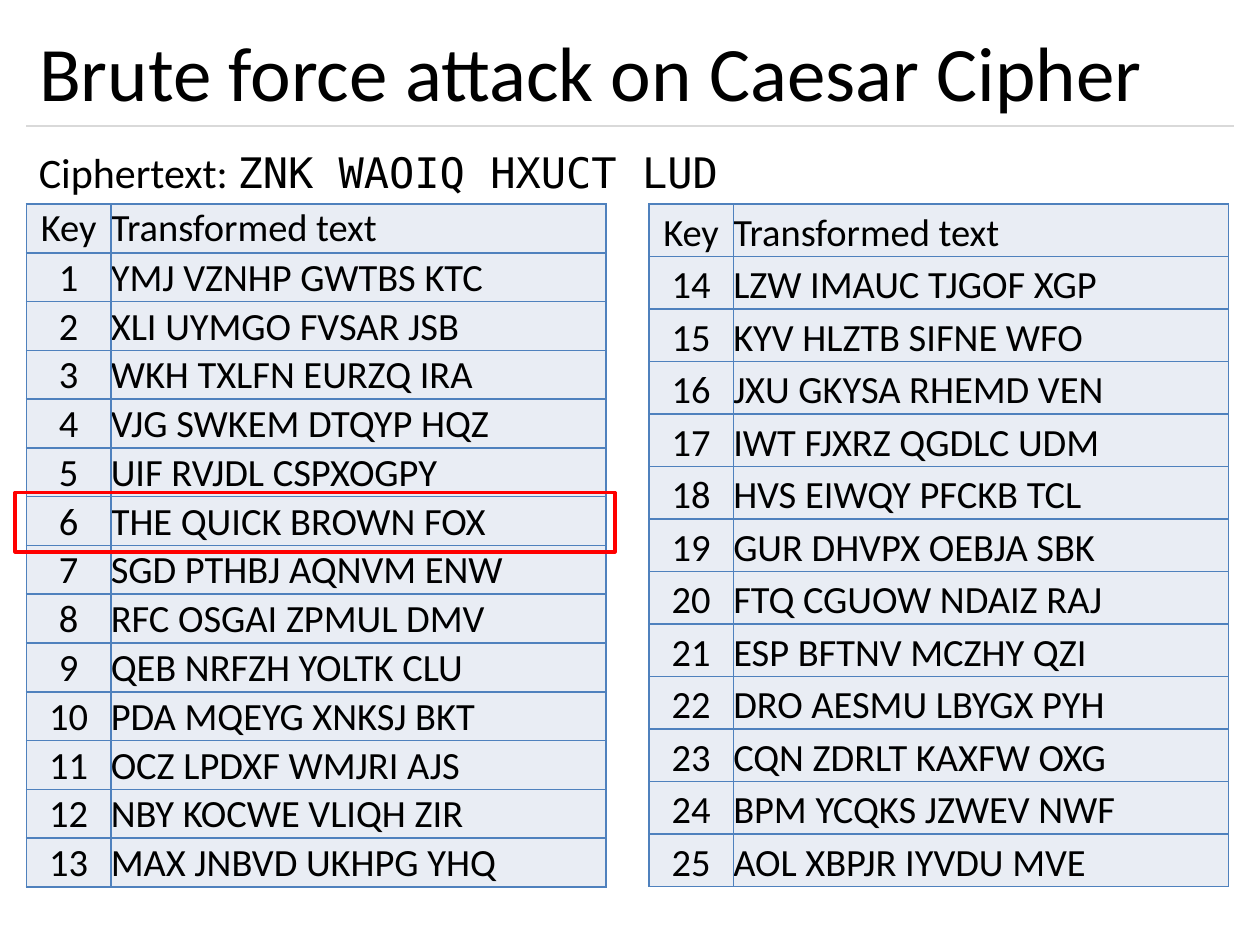
from lxml.etree import SubElement
from pptx import Presentation
from pptx.dml.color import RGBColor
from pptx.enum.shapes import MSO_CONNECTOR as Connector, MSO_SHAPE as Shape
from pptx.enum.text import MSO_ANCHOR as Anchor, PP_ALIGN as Align
from pptx.oxml.ns import qn
from pptx.util import Inches, Pt

BLACK = RGBColor(0x00, 0x00, 0x00)
RULE_GREY = RGBColor(0xD9, 0xD9, 0xD9)
CELL_FILL = RGBColor(0xE9, 0xED, 0xF4)
BORDER_BLUE = RGBColor(0x4F, 0x81, 0xBD)
HIGHLIGHT_RED = RGBColor(0xFF, 0x00, 0x00)
BODY_FONT = "Calibri"
CODE_FONT = "DejaVu Sans Mono"

MARGIN = 0.21
CONTENT_WIDTH = 10 - 2 * MARGIN
TABLE_TOP = 1.62
TABLE_HEIGHT = 5.42
COLUMN_WIDTHS = (0.67, 3.93)

# Candidate plaintexts, in key order
FIRST_KEYS = [
    "YMJ VZNHP GWTBS KTC", "XLI UYMGO FVSAR JSB", "WKH TXLFN EURZQ IRA",
    "VJG SWKEM DTQYP HQZ", "UIF RVJDL CSPXOGPY", "THE QUICK BROWN FOX",
    "SGD PTHBJ AQNVM ENW", "RFC OSGAI ZPMUL DMV", "QEB NRFZH YOLTK CLU",
    "PDA MQEYG XNKSJ BKT", "OCZ LPDXF WMJRI AJS", "NBY KOCWE VLIQH ZIR",
    "MAX JNBVD UKHPG YHQ",
]
LAST_KEYS = [
    "LZW IMAUC TJGOF XGP", "KYV HLZTB SIFNE WFO", "JXU GKYSA RHEMD VEN",
    "IWT FJXRZ QGDLC UDM", "HVS EIWQY PFCKB TCL", "GUR DHVPX OEBJA SBK",
    "FTQ CGUOW NDAIZ RAJ", "ESP BFTNV MCZHY QZI", "DRO AESMU LBYGX PYH",
    "CQN ZDRLT KAXFW OXG", "BPM YCQKS JZWEV NWF", "AOL XBPJR IYVDU MVE",
]


def format_run(run, size, font=BODY_FONT):
    run.font.size = Pt(size)
    run.font.name = font
    run.font.color.rgb = BLACK


def add_title(slide, text):
    title = slide.shapes.title
    title.left, title.top = Inches(MARGIN), Inches(0.12)
    title.width, title.height = Inches(CONTENT_WIDTH), Inches(0.88)
    title.text_frame.text = text
    title.text_frame.vertical_anchor = Anchor.MIDDLE
    paragraph = title.text_frame.paragraphs[0]
    paragraph.alignment = Align.LEFT
    format_run(paragraph.runs[0], 44)


def add_title_rule(slide):
    rule = slide.shapes.add_connector(
        Connector.STRAIGHT, Inches(MARGIN), Inches(1),
        Inches(MARGIN + CONTENT_WIDTH), Inches(1))
    rule.line.color.rgb = RULE_GREY
    rule.line.width = Pt(0.75)
    SubElement(rule._element.spPr, qn("a:effectLst"))


def add_ciphertext(slide, label, ciphertext):
    box = slide.shapes.add_textbox(
        Inches(MARGIN), Inches(1.11), Inches(7), Inches(0.5))
    box.text_frame.word_wrap = True
    paragraph = box.text_frame.paragraphs[0]
    for text, font in ((label, BODY_FONT), (ciphertext, CODE_FONT)):
        run = paragraph.add_run()
        run.text = text
        format_run(run, 24, font)


def add_borders(cell):
    properties = cell._tc.get_or_add_tcPr()
    for side in ("a:lnL", "a:lnR", "a:lnT", "a:lnB"):
        border = SubElement(properties, qn(side), w=str(Pt(1)))
        fill = SubElement(border, qn("a:solidFill"))
        SubElement(fill, qn("a:srgbClr"), val=str(BORDER_BLUE))


def fill_cell(cell, text, alignment, anchor):
    add_borders(cell)
    cell.fill.solid()
    cell.fill.fore_color.rgb = CELL_FILL
    cell.margin_left = cell.margin_right = 0
    cell.margin_top = cell.margin_bottom = 0
    cell.vertical_anchor = anchor
    cell.text_frame.text = text
    paragraph = cell.text_frame.paragraphs[0]
    paragraph.alignment = alignment
    format_run(paragraph.runs[0], 22)


def add_key_table(slide, left, first_key, candidates, header_anchor):
    rows = [("Key", "Transformed text")]
    rows += [(str(key), text) for key, text in enumerate(candidates, first_key)]
    table = slide.shapes.add_table(
        len(rows), len(COLUMN_WIDTHS), Inches(left), Inches(TABLE_TOP),
        Inches(sum(COLUMN_WIDTHS)), Inches(TABLE_HEIGHT)).table
    table.first_row = table.horz_banding = False
    for column, width in zip(table.columns, COLUMN_WIDTHS):
        column.width = Inches(width)
    for index, (key, text) in enumerate(rows):
        table.rows[index].height = Inches(TABLE_HEIGHT / len(rows))
        anchor = Anchor.BOTTOM if index else header_anchor
        fill_cell(table.cell(index, 0), key, Align.CENTER, anchor)
        fill_cell(table.cell(index, 1), text, Align.LEFT, anchor)


def add_highlight(slide):
    frame = slide.shapes.add_shape(
        Shape.RECTANGLE, Inches(0.12), Inches(3.91), Inches(4.76), Inches(0.47))
    frame.shadow.inherit = False
    frame.fill.background()
    frame.line.color.rgb = HIGHLIGHT_RED
    frame.line.width = Pt(2)


def main():
    deck = Presentation()
    deck.slide_width, deck.slide_height = Inches(10), Inches(7.5)
    slide = deck.slides.add_slide(deck.slide_layouts[5])

    # Heading
    add_title_rule(slide)
    add_title(slide, "Brute force attack on Caesar Cipher")

    # All 25 keys, in two tables
    add_key_table(slide, MARGIN, 1, FIRST_KEYS, Anchor.MIDDLE)
    add_key_table(slide, 5.15, 14, LAST_KEYS, Anchor.BOTTOM)

    # Ciphertext and the key that reveals it
    add_ciphertext(slide, "Ciphertext: ", "ZNK WAOIQ HXUCT LUD")
    add_highlight(slide)

    deck.save("out.pptx")


if __name__ == "__main__":
    main()
